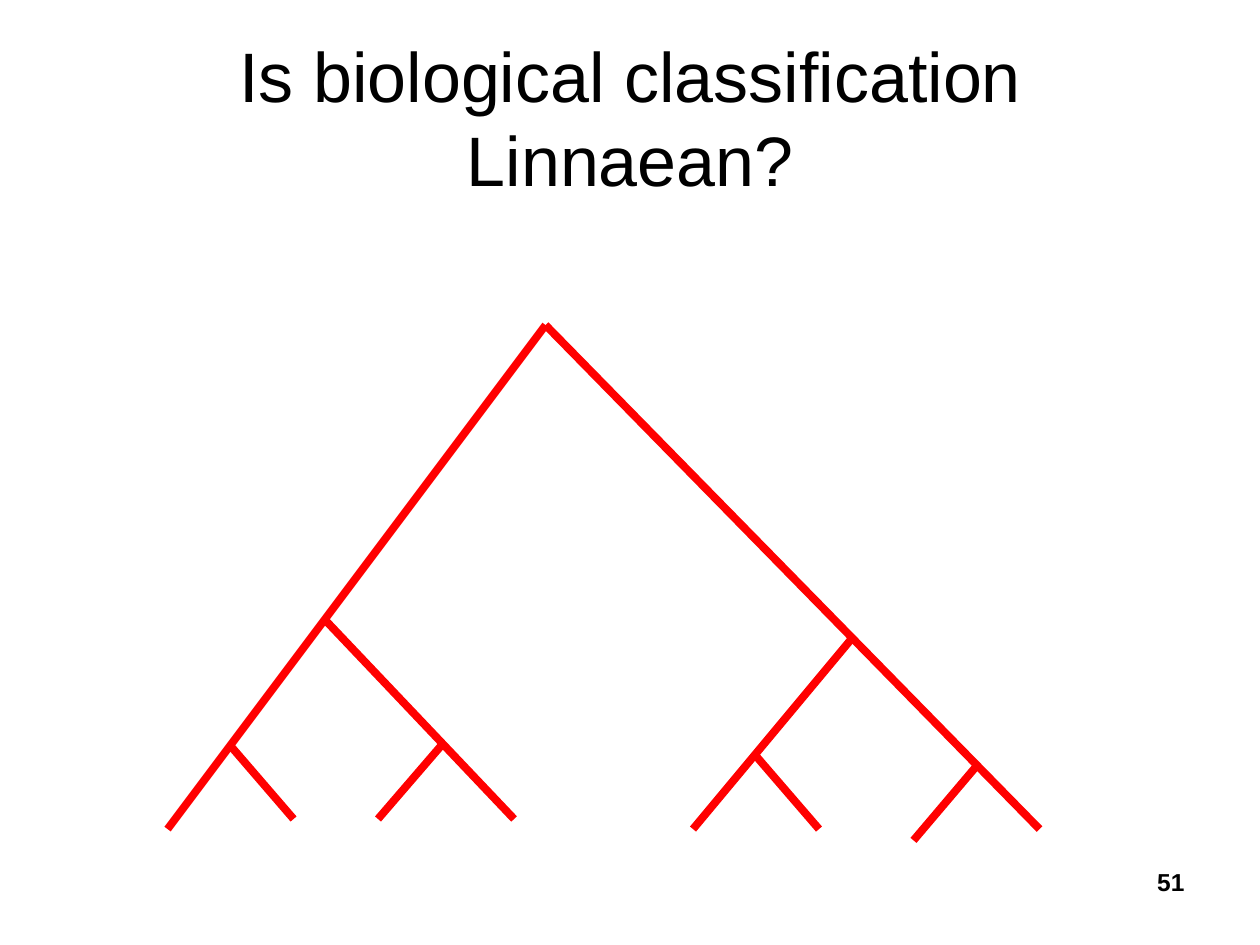
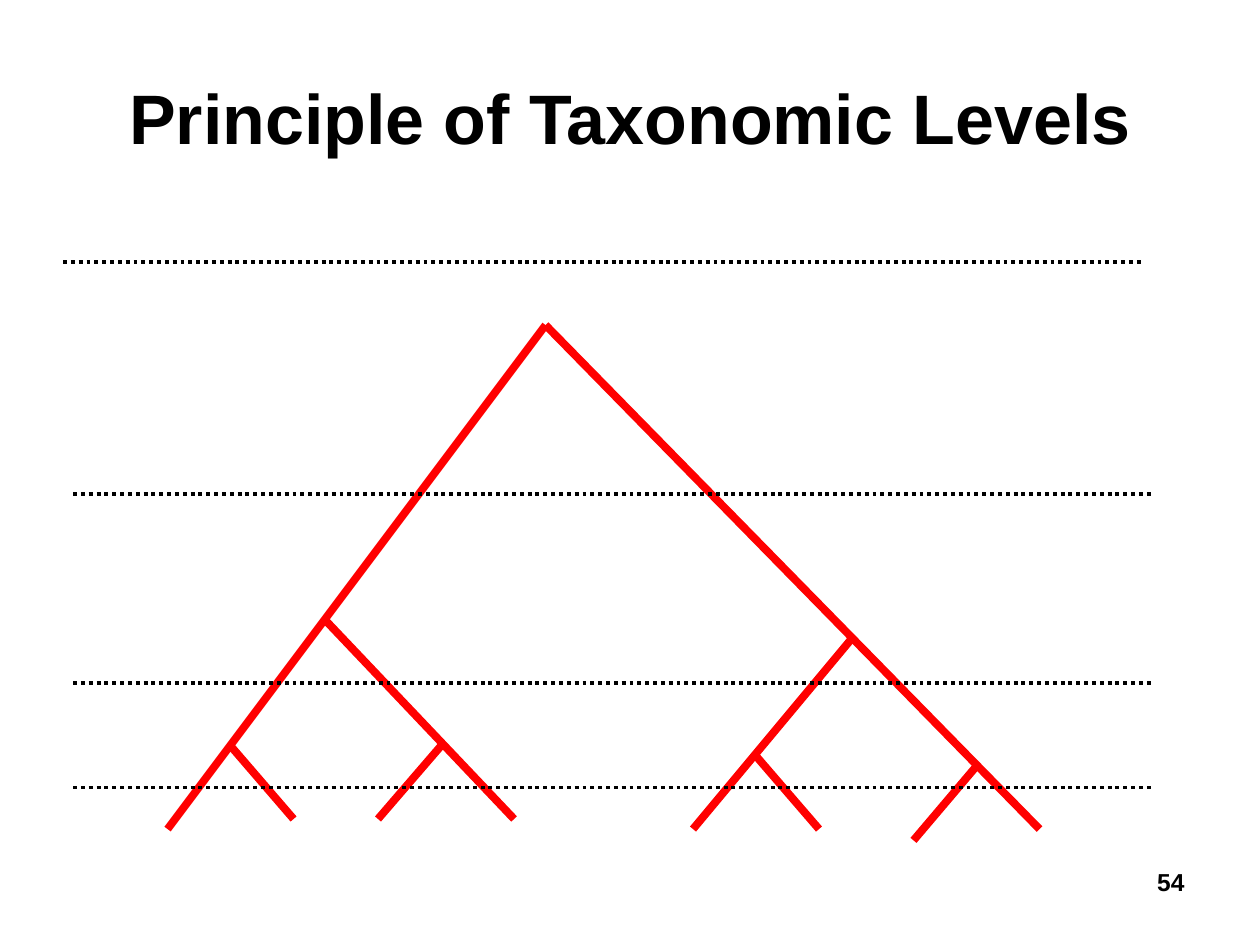
from lxml import etree
from pptx import Presentation
from pptx import util as u
from pptx.dml.color import RGBColor
from pptx.enum import dml, shapes, text
from pptx.oxml import ns

BLACK = RGBColor(0, 0, 0)
RED = RGBColor(255, 0, 0)
FONT = "Arial"

ROOT = (4.33, 2.58)
BRANCHES = [
    (ROOT, (8.25, 6.58)),
    (ROOT, (1.33, 6.58)),
    ((2.58, 4.92), (4.08, 6.5)),
    ((6.75, 5.08), (5.5, 6.58)),
    ((1.83, 5.92), (2.33, 6.5)),
    ((3.5, 5.92), (3, 6.5)),
    ((6, 6), (6.5, 6.58)),
    ((7.75, 6.08), (7.25, 6.67)),
]
WIDTH = 8.58
LEVELS = [(0.5, 2.08), (0.58, 3.92), (0.58, 5.42), (0.58, 6.25)]


def place(shape, left, top, width, height):
    shape.left, shape.top = u.Inches(left), u.Inches(top)
    shape.width, shape.height = u.Inches(width), u.Inches(height)


def write(shape, words, size, bold, align, anchor):
    frame = shape.text_frame
    frame.text = words
    frame.word_wrap = True
    frame.auto_size = text.MSO_AUTO_SIZE.NONE
    frame.vertical_anchor = anchor
    para = frame.paragraphs[0]
    para.alignment = align
    font = para.runs[0].font
    font.name, font.size, font.bold = FONT, u.Pt(size), bold
    font.color.rgb = BLACK


def add_line(parent, start, end, color, weight, dash=None):
    ends = [u.Inches(n) for n in (*start, *end)]
    line = parent.add_connector(shapes.MSO_CONNECTOR.STRAIGHT, *ends)
    line.line.color.rgb = color
    line.line.width = u.Pt(weight)
    if dash:
        line.line.dash_style = dash
    etree.SubElement(line._element.spPr, ns.qn("a:effectLst"))


def add_tree(slide):
    group = slide.shapes.add_group_shape()
    for start, end in BRANCHES:
        add_line(group.shapes, start, end, RED, 4.5)


def add_levels(slide):
    for left, top in LEVELS:
        add_line(slide.shapes, (left, top), (left + WIDTH, top),
                 BLACK, 2.25, dml.MSO_LINE.ROUND_DOT)


def add_number(slide, number):
    box = slide.shapes.add_textbox(0, 0, 0, 0)
    place(box, 7.17, 6.83, 2.33, 0.52)
    write(box, str(number), 14, True, text.PP_ALIGN.RIGHT, text.MSO_ANCHOR.TOP)


def add_slide(deck, title, number, bold=False, levels=False):
    slide = deck.slides.add_slide(deck.slide_layouts[5])
    head = slide.shapes.title
    place(head, 0.5, 0.3, 9, 1.25)
    write(head, title, 40, bold, text.PP_ALIGN.CENTER, text.MSO_ANCHOR.MIDDLE)
    add_tree(slide)
    if levels:
        add_levels(slide)
    add_number(slide, number)


def main():
    deck = Presentation()
    deck.slide_width, deck.slide_height = u.Inches(10), u.Inches(7.5)
    add_slide(deck, "Is biological classification Linnaean?", 51)
    add_slide(deck, "Principle of Taxonomic Levels", 54, bold=True, levels=True)
    deck.save("out.pptx")


if __name__ == "__main__":
    main()
